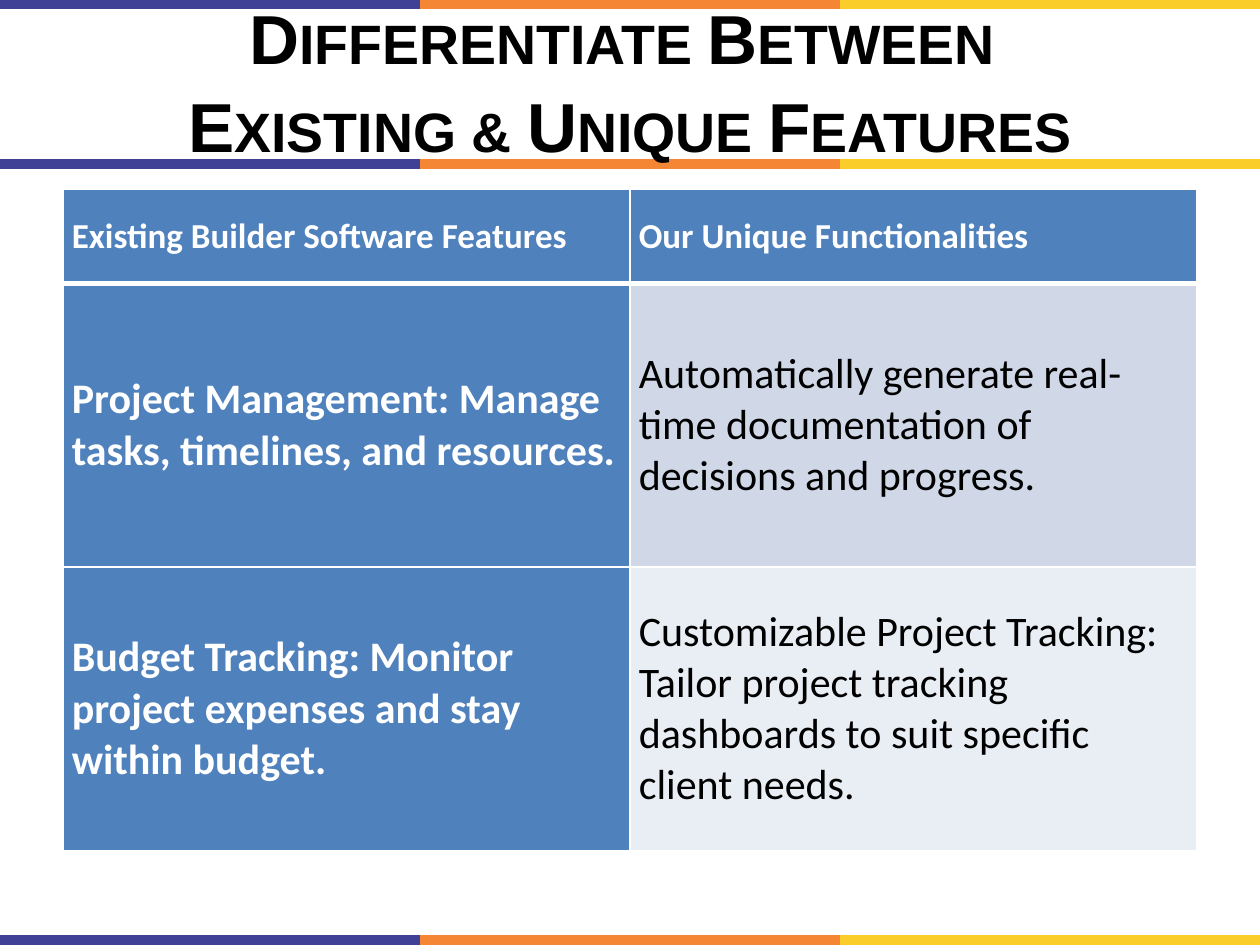
from lxml import etree
from pptx import Presentation
from pptx.dml.color import RGBColor
from pptx.enum.shapes import MSO_CONNECTOR
from pptx.enum.text import MSO_ANCHOR, PP_ALIGN
from pptx.oxml.ns import qn
from pptx.util import Inches, Pt

LINE = MSO_CONNECTOR.STRAIGHT
MID = MSO_ANCHOR.MIDDLE
CENTER = PP_ALIGN.CENTER


def color(target, code):
    target.rgb = RGBColor.from_string(code)


def border(cell, side, width):
    props = cell._tc.get_or_add_tcPr()
    edge = etree.SubElement(props, qn("a:ln" + side), w=str(Pt(width)))
    fill = etree.SubElement(edge, qn("a:solidFill"))
    etree.SubElement(fill, qn("a:srgbClr"), val="FFFFFF")


deck = Presentation()
deck.slide_width, deck.slide_height = Inches(10), Inches(7.5)
slide = deck.slides.add_slide(deck.slide_layouts[5])
third = deck.slide_width / 3

# Three-color bands
for y in (0.03, 7.46, 1.3):
    for col, code in enumerate(("404096", "F58634", "FACD2A")):
        band = slide.shapes.add_connector(
            LINE, int(col * third), Inches(y), int((col + 1) * third), Inches(y))
        color(band.line.color, code)
        band.line.width = Pt(6)
        etree.SubElement(band._element.spPr, qn("a:effectLst"))

# Title, in front of the bands
title = slide.shapes.title
title._element.getparent().append(title._element)
title.left, title.top = 0, 0
title.width, title.height = deck.slide_width, Inches(1.25)
frame = title.text_frame
frame.text = "Differentiate Between \vExisting & Unique Features"
frame.vertical_anchor = MID
para = frame.paragraphs[0]
para.alignment = CENTER
para.line_spacing = 1.05
for run in para.runs:
    run.font.name, run.font.size, run.font.bold = "Arial", Pt(39.6), True
    color(run.font.color, "000000")
    run.font._element.set("cap", "small")

# Feature table
rows = [
    ("Existing Builder Software Features", "Our Unique Functionalities"),
    ("Project Management: Manage tasks, timelines, and resources.",
     "Automatically generate real-time documentation of decisions and progress."),
    ("Budget Tracking: Monitor project expenses and stay within budget.",
     "Customizable Project Tracking: Tailor project tracking dashboards "
     "to suit specific client needs."),
]
fills = [("4F81BD", "4F81BD"), ("4F81BD", "D0D8E8"), ("4F81BD", "E9EDF4")]
table = slide.shapes.add_table(
    3, 2, Inches(0.5), Inches(1.5), Inches(9), Inches(5.25)).table
for r, texts in enumerate(rows):
    table.rows[r].height = Inches(2.25 if r else 0.75)
    for c, text in enumerate(texts):
        cell = table.cell(r, c)
        for side in "LRTB":
            thick = (r, side) in ((0, "B"), (1, "T"))
            border(cell, side, 3 if thick else 1)
        cell.fill.solid()
        color(cell.fill.fore_color, fills[r][c])
        cell.vertical_anchor = MID
        cell.margin_left = cell.margin_right = Inches(0.07)
        cell.margin_top = cell.margin_bottom = 0
        cell.text_frame.text = text
        font = cell.text_frame.paragraphs[0].runs[0].font
        plain = r > 0 and c > 0
        font.name, font.size, font.bold = "Calibri", Pt(24 if r else 20), not plain
        color(font.color, "000000" if plain else "FFFFFF")

deck.save("out.pptx")
